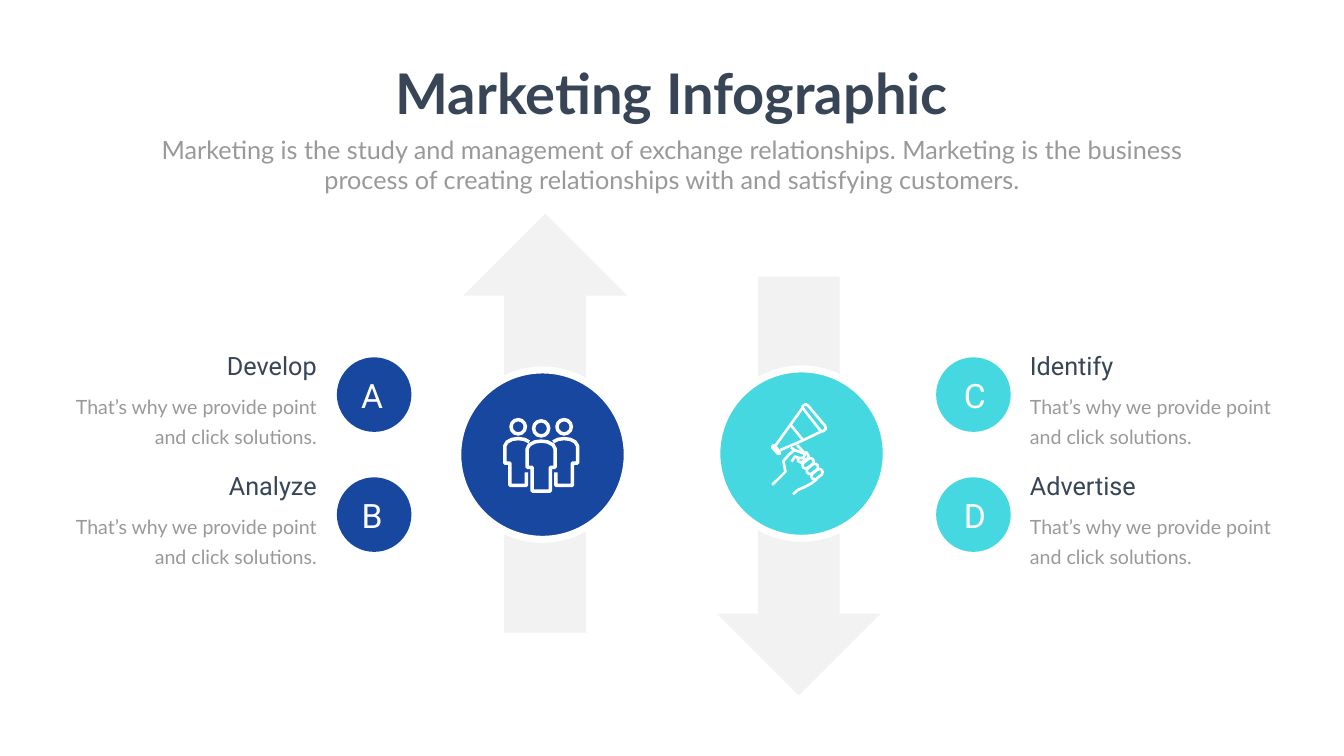
from collections import namedtuple
from math import cos, radians, sin

from lxml.etree import SubElement
from pptx import Presentation
from pptx.dml.color import RGBColor
from pptx.enum.shapes import MSO_SHAPE as Shape
from pptx.enum.text import MSO_ANCHOR as Anchor, MSO_AUTO_SIZE as AutoSize, PP_ALIGN as Align
from pptx.oxml.ns import qn
from pptx.util import Pt

Box = namedtuple("Box", "left top width height")

WHITE, NAVY, GREY = "FFFFFF", "374556", "999999"
BLUE, TURQUOISE = "18479F", "45D8E0"
BADGE = 106.5
TEXT_WIDTH = 361.4
ROW_TOP, ROW_PITCH = 497.5, 171.4
DETAIL = "That’s why we provide point and click solutions."

SIDES = [
    (Box(98, ROW_TOP, 489.6, 145), BLUE, Align.RIGHT, [("A", "Develop"), ("B", "Analyze")]),
    (Box(1337, ROW_TOP, 488.2, 145), TURQUOISE, Align.LEFT, [("C", "Identify"), ("D", "Advertise")]),
]

CENTRE_BODY = [(13, 51.5), (13, 17.6), (20, 17.6), (20, -8.6), (17, -14.4), (9, -18.7), (0, -19.8)]
SIDE_BODY = [(21, 25), (21, 43.5), (44.6, 43.5), (44.6, 11.5), (52, 11.5), (52, -13),
             (48.5, -18.7), (41.5, -22.3), (32.8, -23.4), (24, -22.3), (17, -18.7)]
HEADS = [(-32.8, -40.3, 20.5), (0, -38, 21.6), (32.8, -40.3, 20.5)]

HORN_RIM = [(4.7, -60), (5.8, -62.6), (9.4, -64.8), (13, -62.6), (37.4, -33.5),
            (38.2, -29.5), (34.6, -26), (30.2, -27.4)]
MOUTHPIECE = [(-37.4, -5.8), (-34.6, -5.8), (-28, 2.9), (-27.4, 5.8), (-30.2, 6.1), (-38.2, -2.9)]
HORN_AND_HAND_LINES = [
    [(4.7, -59), (-33, -6.5)],
    [(32.4, -26), (3.6, -12.2), (-26.6, 0.7)],
    [(-11.5, -34.6), (5, -14.4)],
    [(-38.2, 50.4), (-19.4, 31.7), (-22.3, 16.6), (-14.4, 7.2), (-6.5, 0.7), (7.2, 5.8),
     (7.9, 8.6), (5.8, 12.2), (0.7, 12.2), (-5.8, 10), (-10.8, 17.3)],
    [(-11.5, -2.9), (-6.5, 0.7)],
    [(-2.9, -6.5), (7.2, 4.3)],
    [(-1.4, 13), (-1.4, 16.6), (2.9, 18.7), (13, 12.2), (13.7, 9.4), (10.8, 4.3), (7.9, 4.3)],
    [(-8.6, 64), (-1.4, 57.6), (7.2, 54), (18, 48.2), (25.2, 42.5)],
]
FINGERS = [(13, 19.8), (19.1, 27.7), (25.6, 35.3)]


def colour(value):
    return RGBColor.from_string(value)


def paint(shape, fill=None, line=None, weight=0):
    shape.shadow.inherit = False
    if fill:
        shape.fill.solid()
        shape.fill.fore_color.rgb = colour(fill)
    else:
        shape.fill.background()
    if line:
        shape.line.color.rgb = colour(line)
        shape.line.width = Pt(weight)
    else:
        shape.line.fill.background()


def add_shape(page, kind, box, **style):
    shape = page.shapes.add_shape(kind, *map(Pt, box))
    paint(shape, **style)
    return shape


def set_text(shape, text, size, font, shade, align, bold=False, anchor=Anchor.TOP, wrap=True):
    frame = shape.text_frame
    frame.text = text
    frame.word_wrap = wrap
    frame.auto_size = AutoSize.NONE
    frame.vertical_anchor = anchor
    para = frame.paragraphs[0]
    para.alignment = align
    para.space_before = Pt(0)
    span = para.runs[0]
    span.font.size = Pt(size)
    span.font.name = font
    span.font.bold = bold
    span.font.color.rgb = colour(shade)
    return para


def place(shape, box):
    shape.left, shape.top, shape.width, shape.height = map(Pt, box)


def add_header(page, box):
    title, subtitle = page.placeholders
    place(title, Box(box.left, box.top, box.width, 104.4))
    set_text(title, "Marketing Infographic", 80, "Lato", NAVY, Align.CENTER, bold=True, wrap=False)
    place(subtitle, Box(box.left, box.top + 107.3, box.width, 94.3))
    set_text(subtitle, "Marketing is the study and management of exchange relationships. "
             "Marketing is the business process of creating relationships with and "
             "satisfying customers.", 36, "Lato", GREY, Align.CENTER)


def add_flow(page, arrow_kind, arrow_box, circle_box, fill):
    arrow = add_shape(page, arrow_kind, arrow_box, fill="808080")
    tint = arrow.fill._xPr.find(qn("a:solidFill"))[0]
    SubElement(tint, qn("a:alpha"), val="10000")
    add_shape(page, Shape.OVAL, circle_box, fill=fill, line=WHITE, weight=10)


def add_item(page, box, letter, heading, fill, align):
    on_left = align == Align.RIGHT
    badge_left = box.left + box.width - BADGE if on_left else box.left
    text_left = box.left if on_left else box.left + box.width - TEXT_WIDTH
    badge = add_shape(page, Shape.OVAL, Box(badge_left, box.top + 13, BADGE, BADGE), fill=fill)
    set_text(badge, letter, 48, "Roboto", WHITE, Align.CENTER, anchor=Anchor.MIDDLE)
    badge.text_frame.margin_left = Pt(0 if on_left else 4)
    badge.text_frame.margin_right = Pt(6 if on_left else 0)
    parts = [(heading, 0, 51, 36, "Roboto", NAVY), (DETAIL, 53.3, 89.3, 28, "Lato", GREY)]
    for text, offset, height, size, font, shade in parts:
        label = page.shapes.add_textbox(*map(Pt, (text_left, box.top + offset, TEXT_WIDTH, height)))
        para = set_text(label, text, size, font, shade, align)
        if text == DETAIL:
            para.line_spacing = Pt(43)


def add_drawing(page, centre, closed, opened, weight):
    builder = None
    for points in closed + opened:
        start, *rest = [(Pt(centre[0] + x), Pt(centre[1] + y)) for x, y in points]
        if builder is None:
            builder = page.shapes.build_freeform(*start)
        else:
            builder.move_to(*start)
        builder.add_line_segments(rest, close=points in closed)
    paint(builder.convert_to_shape(), line=WHITE, weight=weight)


def mirrored(points):
    return [(-x, y) for x, y in points]


def capsule(x, y, half_length=4.3, radius=4.7, tilt=-39):
    outline = []
    for end, first in ((1, -90), (-1, 90)):
        middle_x = x + end * half_length * cos(radians(tilt))
        middle_y = y + end * half_length * sin(radians(tilt))
        for turn in range(first, first + 181, 30):
            angle = radians(turn + tilt)
            outline.append((middle_x + radius * cos(angle), middle_y + radius * sin(angle)))
    return outline


def add_people(page, centre):
    weight = 5
    for x, y, size in HEADS:
        box = Box(centre[0] + x - size / 2, centre[1] + y - size / 2, size, size)
        add_shape(page, Shape.OVAL, box, line=WHITE, weight=weight)
    centre_outline = CENTRE_BODY + mirrored(CENTRE_BODY[-2::-1])
    add_drawing(page, centre, [centre_outline], [SIDE_BODY, mirrored(SIDE_BODY)], weight)


def add_megaphone(page, centre):
    fingers = [capsule(x, y) for x, y in FINGERS]
    add_drawing(page, centre, [HORN_RIM, MOUTHPIECE] + fingers, HORN_AND_HAND_LINES, 3.75)


def main():
    deck = Presentation()
    deck.slide_width, deck.slide_height = Pt(1919.52), Pt(1080)
    page = deck.slides.add_slide(deck.slide_layouts[0])
    page.background.fill.solid()
    page.background.fill.fore_color.rgb = colour("FEFFFE")

    add_header(page, Box(210.2, 80.6, 1499, 202))
    add_flow(page, Shape.DOWN_ARROW, Box(1023.8, 395.3, 234, 598.3),
             Box(1023.8, 527, 242, 242), TURQUOISE)
    add_flow(page, Shape.UP_ARROW, Box(661.7, 305.3, 234, 598.3),
             Box(653.8, 528.5, 242, 242), BLUE)
    for box, fill, align, items in SIDES:
        for row, (letter, heading) in enumerate(items):
            item_box = box._replace(top=box.top + row * ROW_PITCH)
            add_item(page, item_box, letter, heading, fill, align)
    add_people(page, (772.9, 650))
    add_megaphone(page, (1141.2, 642.2))
    deck.save("out.pptx")


if __name__ == "__main__":
    main()
